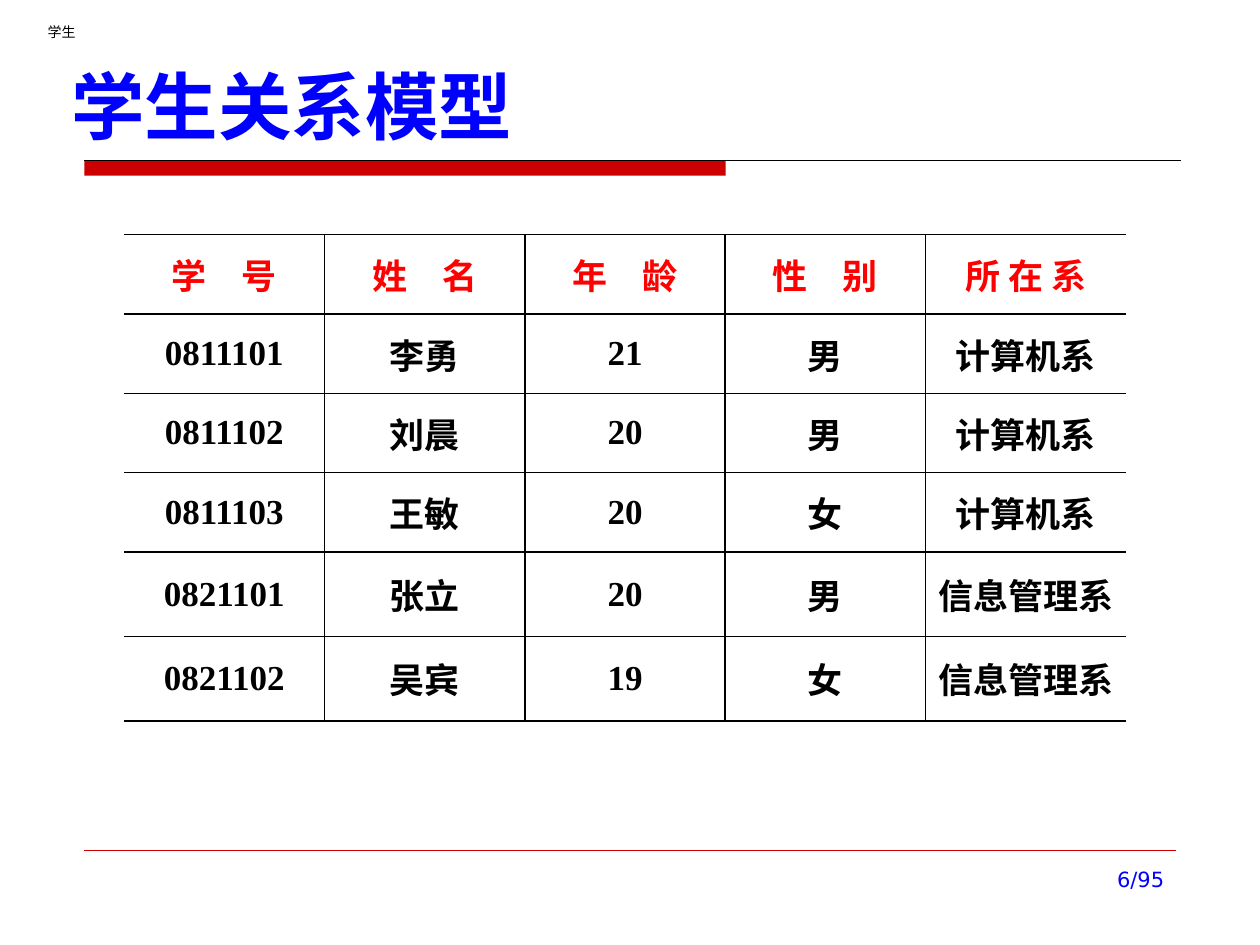
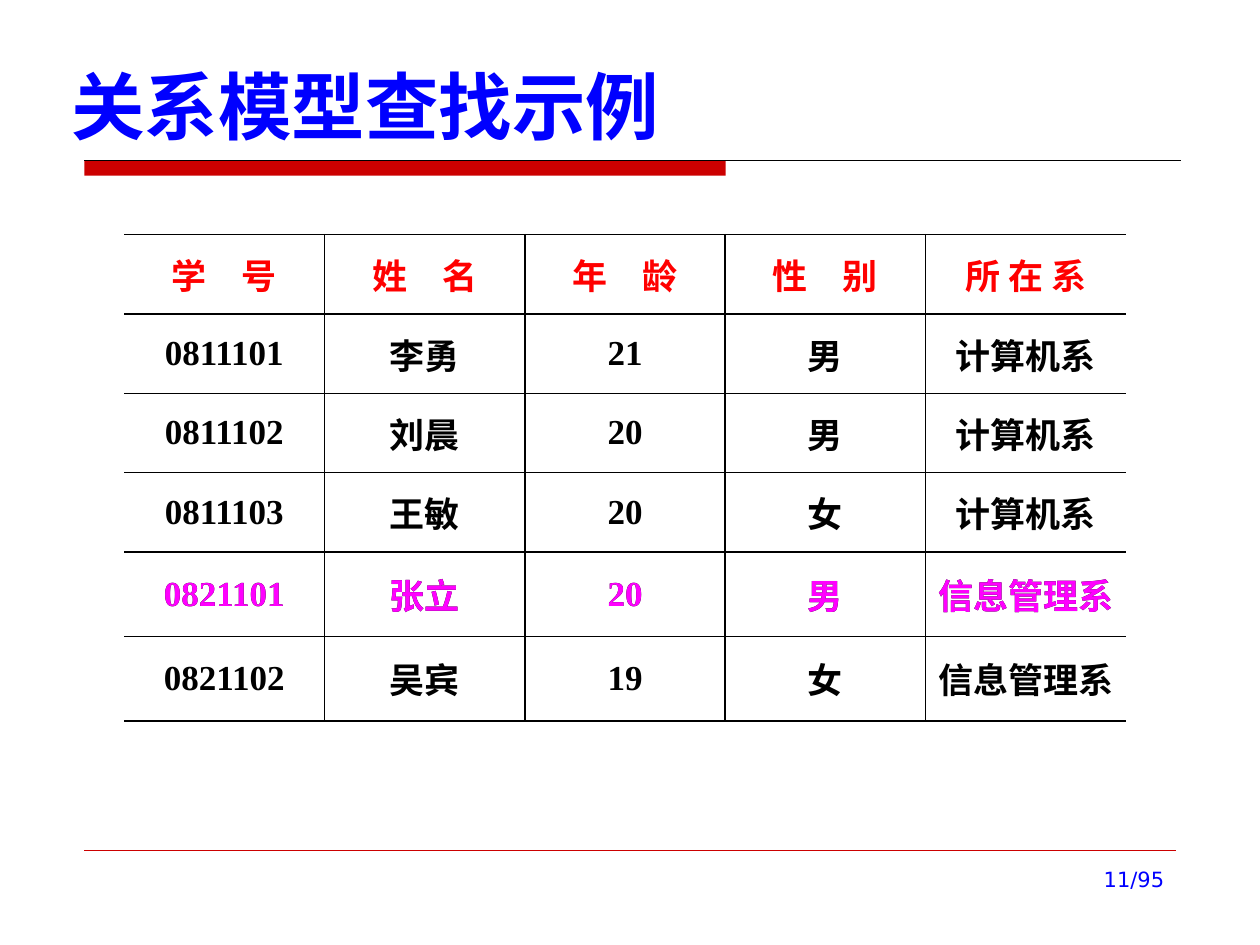
from typing import NamedTuple

from pptx import Presentation, util as u
from pptx.dml.color import RGBColor
from pptx.enum import shapes, text
from pptx.oxml.ns import qn
from lxml import etree

COLORS = {"red": "CC0000", "blue": "0000FF", "header": "FF0000",
          "text": "000000", "highlight": "FF00FF"}
CJK = "Noto Sans CJK SC"
COL_WIDTH = 4.04
TABLE_LEFT, TABLE_TOP = 2.5, 4.73
ROW_HEIGHTS = [1.6, 1.6, 1.6, 1.6, 1.7, 1.7]
HIGHLIGHT_ROW = 4

STUDENTS = [
    ("学　号", "姓　名", "年　龄", "性　别", "所 在 系"),
    ("0811101", "李勇", "21", "男", "计算机系"),
    ("0811102", "刘晨", "20", "男", "计算机系"),
    ("0811103", "王敏", "20", "女", "计算机系"),
    ("0821101", "张立", "20", "男", "信息管理系"),
    ("0821102", "吴宾", "19", "女", "信息管理系"),
]


class Style(NamedTuple):
    size: float
    font: str
    color: str
    bold: bool = False


class Box(NamedTuple):
    left: float
    top: float
    width: float
    height: float
    style: Style
    align: text.PP_ALIGN = text.PP_ALIGN.LEFT
    anchor: text.MSO_ANCHOR = text.MSO_ANCHOR.TOP
    indent: float = 0


class Rule(NamedTuple):
    left: float
    right: float
    y: float
    color: str
    weight: float


class Page(NamedTuple):
    title: str
    number: str
    corner: str = ""
    highlight: bool = False


TITLE = Box(1.19, 0.84, 20.42, 2.29, Style(42, CJK, "blue", True),
            anchor=text.MSO_ANCHOR.BOTTOM)
NUMBER = Box(18.21, 17.35, 5.51, 1.32, Style(12, "DejaVu Sans", "blue"),
             align=text.PP_ALIGN.RIGHT)
CORNER = Box(0, 0, 25.4, 1.27, Style(8, "Arial", "text"),
             anchor=text.MSO_ANCHOR.MIDDLE, indent=0.71)
RULES = [Rule(1.7, 23.8, 3.23, "text", 0.75),
         Rule(1.7, 23.7, 17.15, "red", 0.25)]
PAGES = [Page("学生关系模型", "6/95", corner="学生"),
         Page("关系模型查找示例", "11/95", highlight=True)]


def rgb(name: str) -> RGBColor:
    return RGBColor.from_string(COLORS[name])


def add_run(p, words: str, style: Style) -> None:
    r = p.add_run()
    r.text = words
    r.font.size = u.Pt(style.size)
    r.font.name = style.font
    r.font.bold = style.bold
    r.font.color.rgb = rgb(style.color)
    ea = etree.SubElement(r.font._element, qn("a:ea"))
    ea.set("typeface", CJK)


def add_text(s, box: Box, words: str) -> None:
    sp = s.shapes.add_textbox(*(u.Cm(v) for v in box[:4]))
    tf = sp.text_frame
    tf.word_wrap = True
    tf.vertical_anchor = box.anchor
    p = tf.paragraphs[0]
    p.alignment = box.align
    if box.indent:
        p._p.get_or_add_pPr().set("indent", str(u.Cm(box.indent)))
    add_run(p, words, box.style)


def add_rule(s, rule: Rule) -> None:
    line = s.shapes.add_connector(
        shapes.MSO_CONNECTOR.STRAIGHT, u.Cm(rule.left), u.Cm(rule.y),
        u.Cm(rule.right), u.Cm(rule.y))
    line.line.color.rgb = rgb(rule.color)
    line.line.width = u.Pt(rule.weight)
    etree.SubElement(line._element.spPr, qn("a:effectLst"))


def add_frame(s) -> None:
    bar = s.shapes.add_shape(shapes.MSO_SHAPE.RECTANGLE, u.Cm(1.7),
                             u.Cm(3.23), u.Cm(12.93), u.Cm(0.31))
    bar.shadow.inherit = False
    bar.fill.solid()
    bar.fill.fore_color.rgb = rgb("red")
    bar.line.fill.background()
    for rule in RULES:
        add_rule(s, rule)


def set_borders(cell, hidden: set[str]) -> None:
    tc_pr = cell._tc.get_or_add_tcPr()
    for i, side in enumerate("LRTB"):
        ln = etree.Element(qn(f"a:ln{side}"), w=str(u.Pt(1)))
        if side in hidden:
            etree.SubElement(ln, qn("a:noFill"))
        else:
            fill = etree.SubElement(ln, qn("a:solidFill"))
            etree.SubElement(fill, qn("a:srgbClr"), val=COLORS["text"])
        tc_pr.insert(i, ln)


def fill_cell(cell, words: str, color: str, hidden: set[str]) -> None:
    cell.fill.background()
    set_borders(cell, hidden)
    cell.vertical_anchor = text.MSO_ANCHOR.MIDDLE
    cell.margin_left = cell.margin_right = u.Cm(0.18)
    cell.margin_top = cell.margin_bottom = 0
    p = cell.text_frame.paragraphs[0]
    p.alignment = text.PP_ALIGN.CENTER
    p.space_before = p.space_after = u.Pt(2.4)
    add_run(p, words, Style(20, "Times New Roman", color, True))


def add_students(s, top: float, rows: list[tuple[str, ...]],
                 heights: list[float], colors: list[str]) -> None:
    cols = len(rows[0])
    table = s.shapes.add_table(
        len(rows), cols, u.Cm(TABLE_LEFT), u.Cm(top),
        u.Cm(COL_WIDTH * cols), u.Cm(sum(heights))).table
    table.first_row = table.horz_banding = False
    for col in table.columns:
        col.width = u.Cm(COL_WIDTH)
    for i, (row, height, color) in enumerate(zip(rows, heights, colors)):
        table.rows[i].height = u.Cm(height)
        for j, words in enumerate(row):
            hidden = {"L"} if j == 0 else {"R"} if j == cols - 1 else set()
            fill_cell(table.cell(i, j), words, color, hidden)


def add_page(prs, page: Page) -> None:
    s = prs.slides.add_slide(prs.slide_layouts[6])
    add_frame(s)
    add_text(s, TITLE, page.title)
    add_students(s, TABLE_TOP, STUDENTS, ROW_HEIGHTS,
                 ["header"] + ["text"] * (len(STUDENTS) - 1))
    if page.highlight:
        add_students(s, TABLE_TOP + sum(ROW_HEIGHTS[:HIGHLIGHT_ROW]),
                     [STUDENTS[HIGHLIGHT_ROW]], [ROW_HEIGHTS[HIGHLIGHT_ROW]],
                     ["highlight"])
    if page.corner:
        add_text(s, CORNER, page.corner)
    add_text(s, NUMBER, page.number)


def main() -> None:
    prs = Presentation()
    prs.slide_width, prs.slide_height = u.Cm(25.4), u.Cm(19.05)
    for page in PAGES:
        add_page(prs, page)
    prs.save("out.pptx")


if __name__ == "__main__":
    main()
